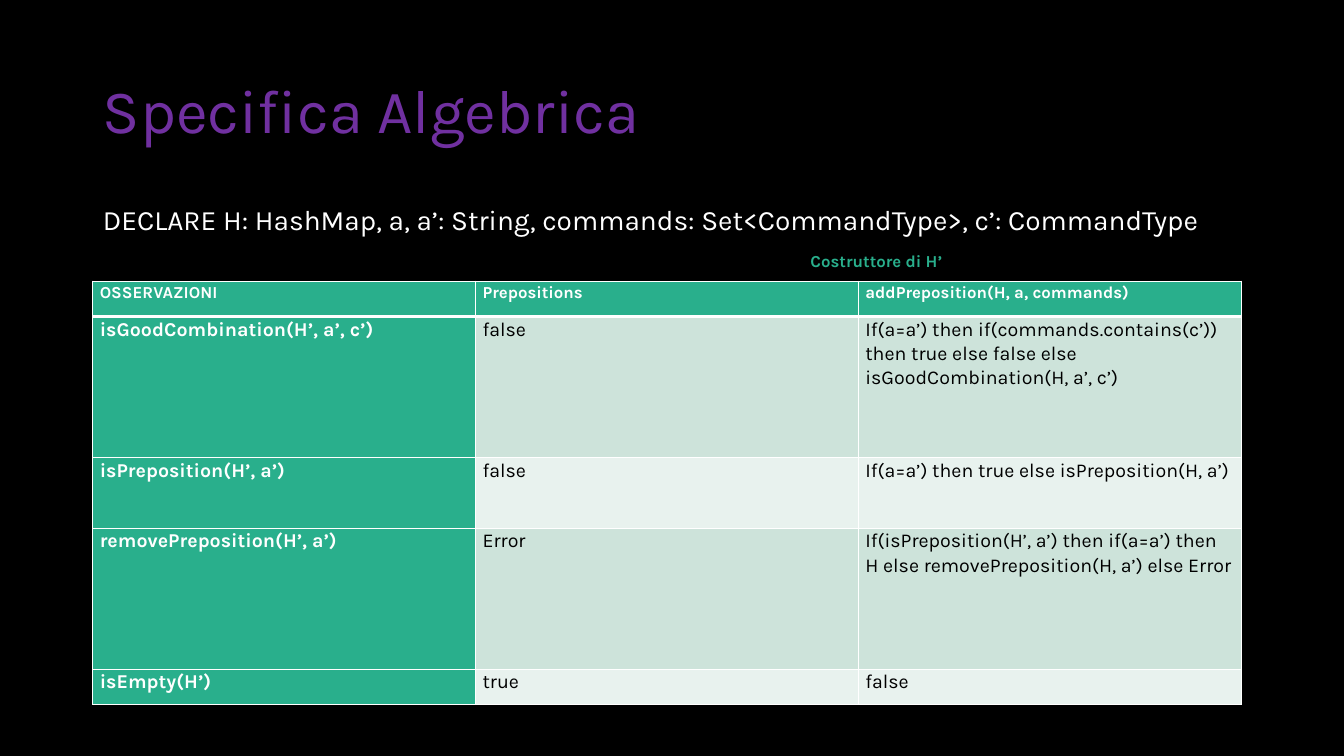
"""Build the slide "Specifica Algebrica" with its table of observations."""
from lxml import etree
from pptx import Presentation, util as u
from pptx.dml.color import RGBColor
from pptx.enum import text as t
from pptx.oxml import ns

WHITE, BLACK, PURPLE, GREEN = "FFFFFF", "000000", "7030A0", "29AF8C"
BANDS = ["CDE3DA", "E8F2EE"]
LEFT, WIDTH = 0.92, 11.5
ROW_UNIT = 0.35


def color(value):
    return RGBColor.from_string(value)


def write(frame, words, size=14, fill=WHITE, bold=False, spacing=1.0, before=0,
          anchor=t.MSO_ANCHOR.TOP):
    frame.word_wrap = True
    frame.vertical_anchor = anchor
    paragraph = frame.paragraphs[0]
    paragraph.alignment = t.PP_ALIGN.LEFT
    paragraph.line_spacing = spacing
    paragraph.space_before = u.Pt(before)
    run = paragraph.add_run()
    run.text = words
    run.font.name = "Karla"
    run.font.size = u.Pt(size)
    run.font.bold = bold
    run.font.color.rgb = color(fill)
    return paragraph


presentation = Presentation()
presentation.slide_width = u.Inches(13.33)
presentation.slide_height = u.Inches(7.5)
slide = presentation.slides.add_slide(presentation.slide_layouts[1])
slide.background.fill.solid()
slide.background.fill.fore_color.rgb = color(BLACK)

title, body = slide.placeholders
for shape, top, height in [(title, 0.4, 1.45), (body, 2, 4.76)]:
    shape.left, shape.top = u.Inches(LEFT), u.Inches(top)
    shape.width, shape.height = u.Inches(WIDTH), u.Inches(height)
    shape.text_frame.auto_size = t.MSO_AUTO_SIZE.NONE

write(title.text_frame, "Specifica Algebrica", size=44, fill=PURPLE, spacing=0.9,
      anchor=t.MSO_ANCHOR.MIDDLE)
declaration = write(
    body.text_frame,
    "DECLARE H: HashMap, a, a’: String, commands: Set<CommandType>, c’: CommandType",
    size=20, spacing=0.9, before=10)
properties = declaration._p.get_or_add_pPr()
properties.set("marL", "0")
properties.set("indent", "0")
etree.SubElement(properties, ns.qn("a:buNone"))

observations = [
    ("OSSERVAZIONI", "Prepositions", "addPreposition(H, a, commands)"),
    ("isGoodCombination(H’, a’, c’)", "false",
     "If(a=a’) then if(commands.contains(c’)) then true else false else "
     "isGoodCombination(H, a’, c’)"),
    ("isPreposition(H’, a’)", "false", "If(a=a’) then true else isPreposition(H, a’)"),
    ("removePreposition(H’, a’)", "Error",
     "If(isPreposition(H’, a’) then if(a=a’) then H else "
     "removePreposition(H, a’) else Error"),
    ("isEmpty(H’)", "true", "false"),
]
row_units = [1, 4, 2, 4, 1]
table = slide.shapes.add_table(
    len(observations), 3, u.Inches(LEFT), u.Inches(2.79), u.Inches(11.39),
    u.Inches(ROW_UNIT * sum(row_units))).table

for row, (words, units) in enumerate(zip(observations, row_units)):
    table.rows[row].height = u.Inches(ROW_UNIT * units)
    for column, entry in enumerate(words):
        cell = table.cell(row, column)
        heading = row == 0 or column == 0
        cell.margin_left = cell.margin_right = u.Inches(0.07)
        cell.margin_top = cell.margin_bottom = 0
        write(cell.text_frame, entry, size=14 if row else 12,
              fill=WHITE if heading else BLACK, bold=heading, spacing=1.07)
        cell_properties = cell._tc.get_or_add_tcPr()
        for side in "LRTB":
            thick = (row, side) in [(0, "B"), (1, "T")]
            line = etree.SubElement(cell_properties, ns.qn(f"a:ln{side}"),
                                    w=str(u.Pt(3 if thick else 1)))
            solid = etree.SubElement(line, ns.qn("a:solidFill"))
            etree.SubElement(solid, ns.qn("a:srgbClr"), val=WHITE)
        cell.fill.solid()
        cell.fill.fore_color.rgb = color(GREEN if heading else BANDS[(row - 1) % 2])

caption = slide.shapes.add_textbox(u.Inches(7.94), u.Inches(2.44), u.Inches(4), u.Inches(0.3))
write(caption.text_frame, "Costruttore di H’", size=12, fill=GREEN, bold=True)

presentation.save("out.pptx")
